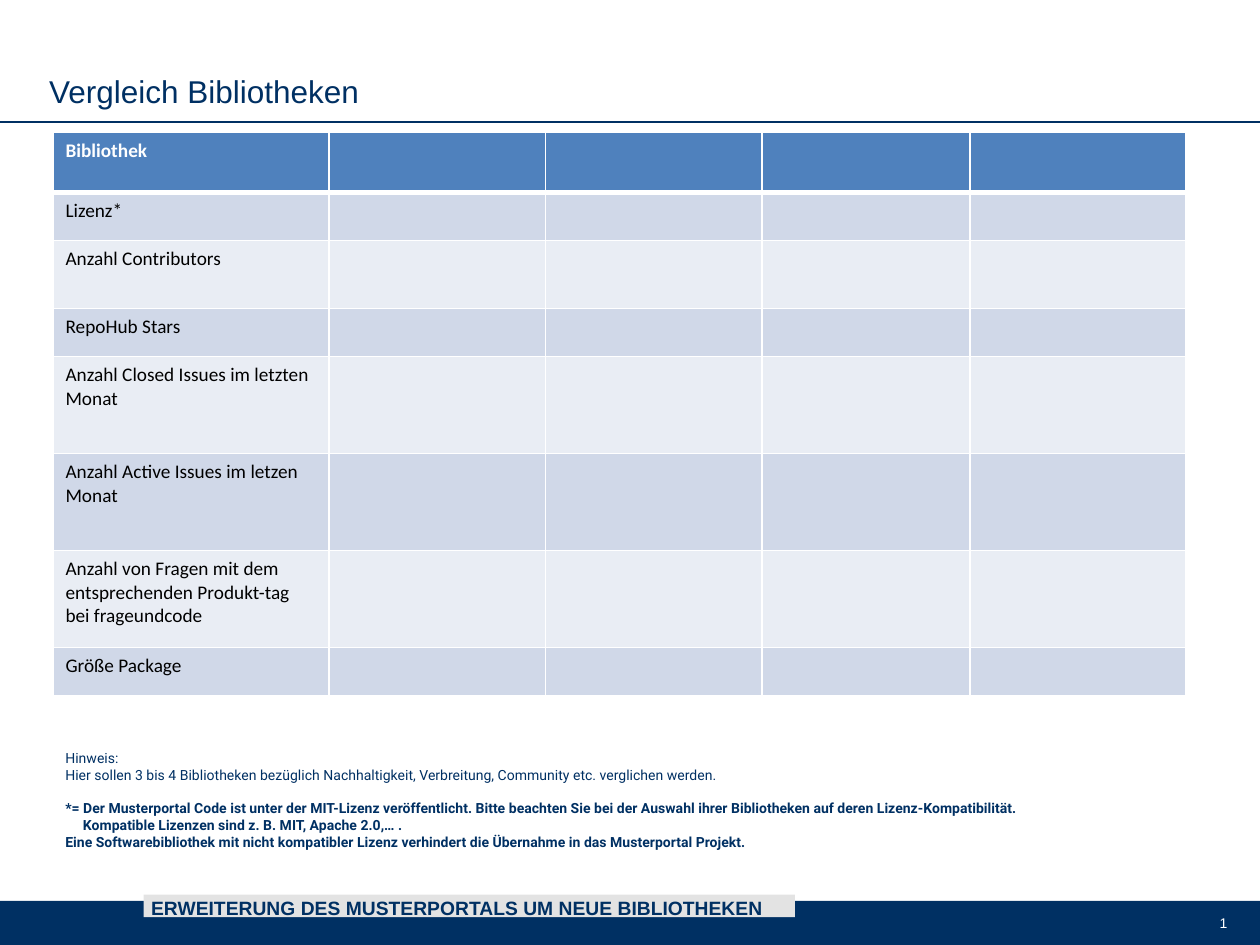
"""Build the library comparison slide with its table, hints and footer."""
from lxml import etree
from pptx import Presentation
from pptx.dml.color import RGBColor
from pptx.enum.shapes import MSO_CONNECTOR, MSO_SHAPE
from pptx.enum.text import MSO_ANCHOR, MSO_AUTO_SIZE, PP_ALIGN
from pptx.oxml import parse_xml
from pptx.oxml.ns import qn
from pptx.util import Inches, Pt

RECT, STRAIGHT = MSO_SHAPE.RECTANGLE, MSO_CONNECTOR.STRAIGHT
TOP, BOTTOM = MSO_ANCHOR.TOP, MSO_ANCHOR.BOTTOM
LEFT, RIGHT = PP_ALIGN.LEFT, PP_ALIGN.RIGHT
GROW = MSO_AUTO_SIZE.SHAPE_TO_FIT_TEXT
A_NS = "http://schemas.openxmlformats.org/drawingml/2006/main"

NAVY, WHITE, BLACK, GREY = "003063", "FFFFFF", "000000", "E3E3E3"
HEADER_FILL, BANDS = "4F81BD", ("D0D8E8", "E9EDF4")

TITLE = "Vergleich Bibliotheken"
FOOTER = "ERWEITERUNG DES MUSTERPORTALS UM NEUE BIBLIOTHEKEN"
COLUMNS = (2.19, 1.72, 1.72, 1.65, 1.71)
ROWS = [
    ("Bibliothek", 0.48),
    ("Lizenz*", 0.38),
    ("Anzahl Contributors", 0.54),
    ("RepoHub Stars", 0.38),
    ("Anzahl Closed Issues im letzten Monat", 0.77),
    ("Anzahl Active Issues im letzen Monat", 0.77),
    ("Anzahl von Fragen mit dem entsprechenden Produkt-tag bei frageundcode", 0.77),
    ("Größe Package", 0.38),
]
HINTS = [
    {"text": "Hinweis:"},
    {"text": "Hier sollen 3 bis 4 Bibliotheken bezüglich Nachhaltigkeit, Verbreitung, "
             "Community etc. verglichen werden."},
    {"text": "*= Der Musterportal Code ist unter der MIT-Lizenz veröffentlicht. Bitte beachten "
             "Sie bei der Auswahl ihrer Bibliotheken auf deren Lizenz-Kompatibilität.",
     "bold": True, "before": 9.5},
    {"text": "Kompatible Lizenzen sind z. B. MIT, Apache 2.0,… .", "bold": True, "indent": 0.14},
    {"text": "Eine Softwarebibliothek mit nicht kompatibler Lizenz verhindert die Übernahme "
             "in das Musterportal Projekt.", "bold": True},
]


def rgb(value):
    """Turn a hex string into a colour."""
    return RGBColor.from_string(value)


def write(p, text, size, color, name="Arial", bold=False):
    """Add one formatted run to a paragraph."""
    r = p.add_run()
    r.text = text
    for key, value in {"size": Pt(size), "name": name, "bold": bold}.items():
        setattr(r.font, key, value)
    r.font.color.rgb = rgb(color)


def add_box(s, place, color):
    """Add a plain filled rectangle."""
    sp = s.shapes.add_shape(RECT, *map(Inches, place))
    sp.shadow.inherit = False
    sp.fill.solid()
    sp.fill.fore_color.rgb = rgb(color)
    sp.line.fill.background()
    return sp


def set_borders(cell, widths):
    """Draw white cell borders from a dict of side and point width."""
    for side, width in widths.items():
        cell._tc.get_or_add_tcPr().append(parse_xml(
            f'<a:ln{side} xmlns:a="{A_NS}" w="{Pt(width)}"><a:solidFill>'
            f'<a:srgbClr val="{WHITE}"/></a:solidFill></a:ln{side}>'))


def add_frame(s):
    """Add the footer bar, title rule, page number and footer label."""
    add_box(s, (0, 7.15, 10, 0.35), NAVY)

    rule = s.shapes.add_connector(STRAIGHT, 0, Inches(0.97), Inches(10), Inches(0.97))
    rule.line.color.rgb = rgb(NAVY)
    rule.line.width = Pt(1)
    etree.SubElement(rule._element.spPr, qn("a:effectLst"))

    number = s.shapes.add_textbox(*map(Inches, (8.73, 7.21, 1.11, 0.26)))
    p = number.text_frame.paragraphs[0]
    p.alignment = RIGHT
    p._p.append(parse_xml(
        f'<a:fld xmlns:a="{A_NS}" id="{{B6F15528-21DE-4FAA-801E-634DDDAF4B2B}}" type="slidenum">'
        f'<a:rPr lang="de-DE" sz="800"><a:solidFill><a:srgbClr val="{WHITE}"/></a:solidFill>'
        '<a:latin typeface="Arial"/></a:rPr><a:t>2</a:t></a:fld>'))

    tf = add_box(s, (1.14, 7.1, 5.17, 0.18), GREY).text_frame
    margins = {"margin_left": Inches(0.06), "margin_top": Inches(0.01),
               "margin_right": 0, "margin_bottom": 0}
    for key, value in {**margins, "vertical_anchor": TOP, "word_wrap": True}.items():
        setattr(tf, key, value)
    tf.paragraphs[0].alignment = LEFT
    write(tf.paragraphs[0], FOOTER, 11, NAVY, bold=True)


def add_title(s):
    """Move and format the title placeholder."""
    sp = s.shapes.title
    place = {"left": 0.29, "top": 0.52, "width": 8.59, "height": 0.4}
    for key, value in place.items():
        setattr(sp, key, Inches(value))
    tf = sp.text_frame
    for key, value in {"vertical_anchor": BOTTOM, "word_wrap": True, "auto_size": GROW}.items():
        setattr(tf, key, value)
    tf.paragraphs[0].alignment = LEFT
    write(tf.paragraphs[0], TITLE, 18, NAVY)


def add_comparison(s):
    """Add the comparison table with a header row and banded body."""
    heights = [height for _, height in ROWS]
    size = (0.42, 1.05, sum(COLUMNS), sum(heights))
    table = s.shapes.add_table(len(ROWS), len(COLUMNS), *map(Inches, size)).table
    for column, width in zip(table.columns, COLUMNS):
        column.width = Inches(width)
    for i, (label, height) in enumerate(ROWS):
        header = i == 0
        table.rows[i].height = Inches(height)
        widths = {"L": 1, "R": 1, "T": 3 if i == 1 else 1, "B": 3 if header else 1}
        for j, cell in enumerate(table.rows[i].cells):
            set_borders(cell, widths)
            cell.fill.solid()
            cell.fill.fore_color.rgb = rgb(HEADER_FILL if header else BANDS[(i - 1) % 2])
            p = cell.text_frame.paragraphs[0]
            if j == 0:
                write(p, label, 11, WHITE if header else BLACK, "Calibri", header)
            else:
                etree.SubElement(p._p, qn("a:endParaRPr"), sz="1100")


def add_hints(s):
    """Add the notes below the table."""
    tf = s.shapes.add_textbox(*map(Inches, (0.42, 5.9, 8.59, 0.91))).text_frame
    tf.word_wrap = True
    tf.auto_size = GROW
    for i, hint in enumerate(HINTS):
        p = tf.add_paragraph() if i else tf.paragraphs[0]
        p.space_before = Pt(hint.get("before", 0))
        p._p.get_or_add_pPr().set("marL", str(Inches(hint.get("indent", 0))))
        write(p, hint["text"], 8, NAVY, "Roboto", hint.get("bold", False))


def main():
    """Create and save the presentation."""
    prs = Presentation()
    prs.slide_width, prs.slide_height = Inches(10), Inches(7.5)
    s = prs.slides.add_slide(prs.slide_layouts[5])
    for add_part in (add_frame, add_title, add_comparison, add_hints):
        add_part(s)
    prs.save("out.pptx")


if __name__ == "__main__":
    main()
